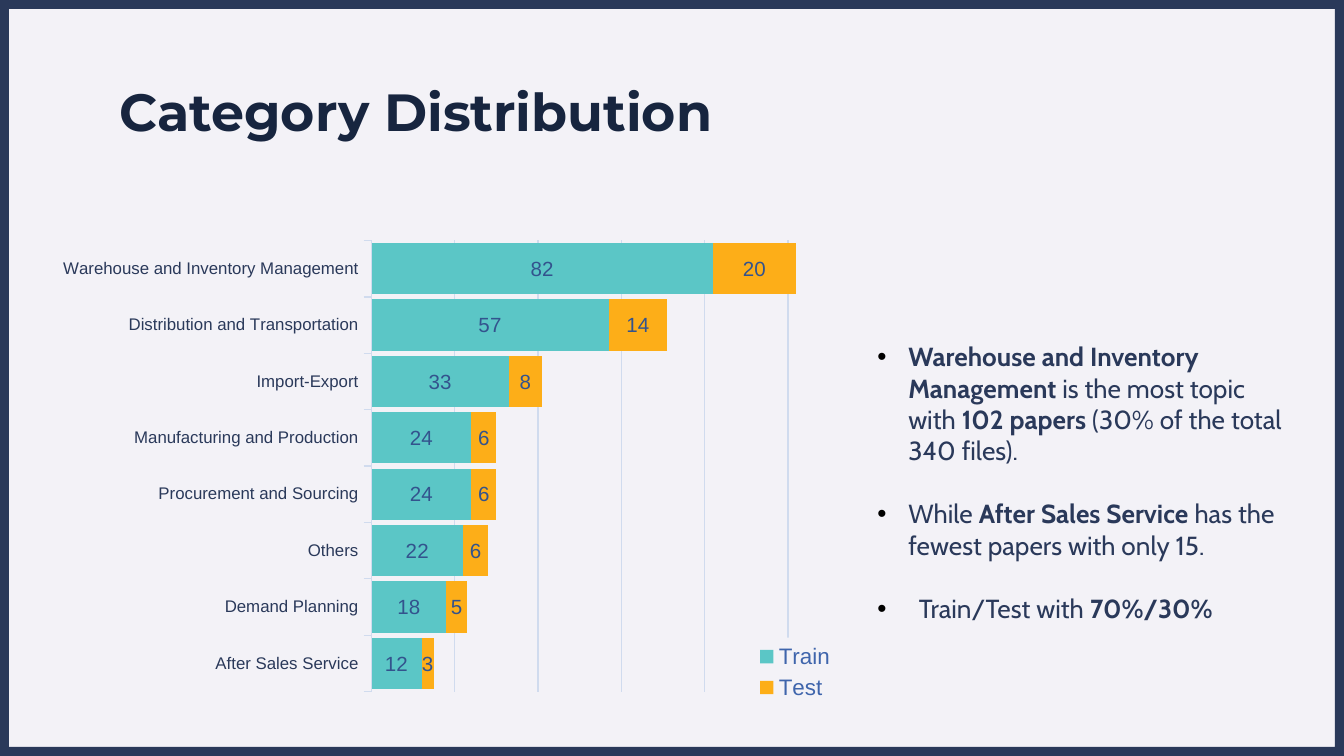
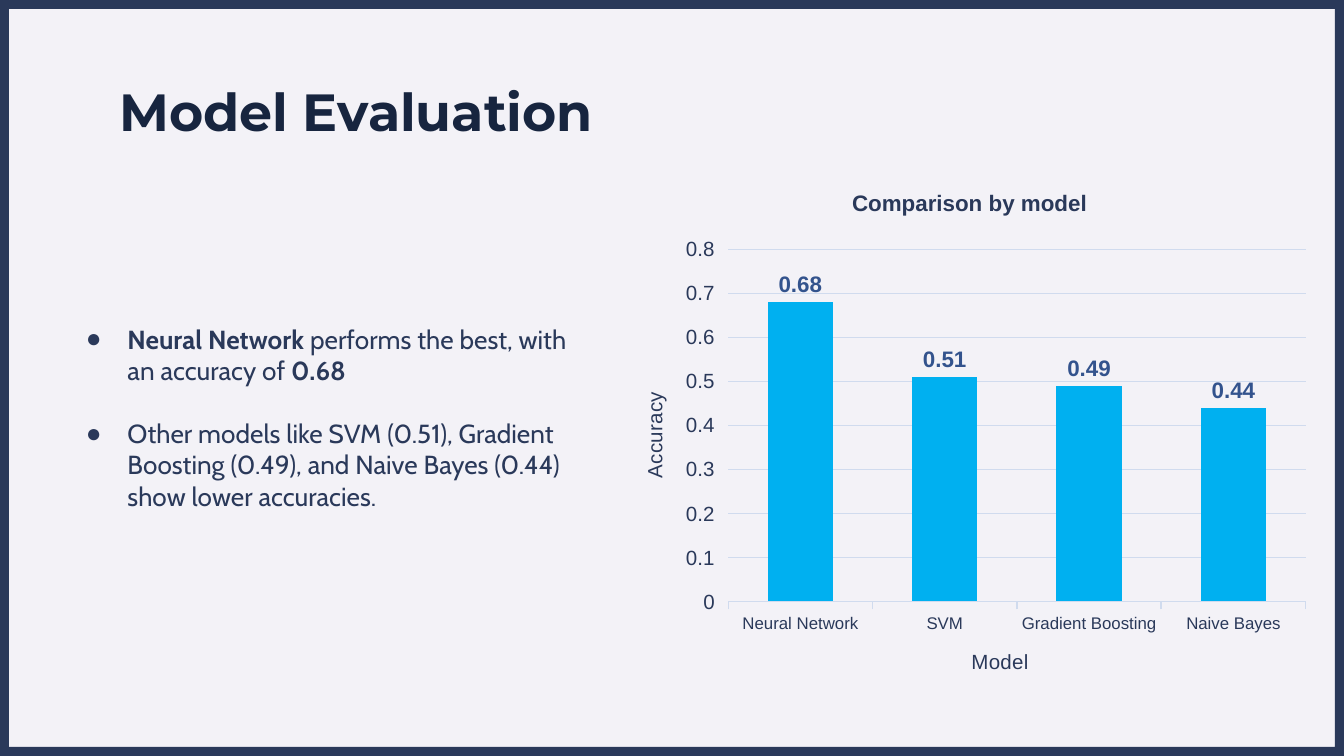
import pptx
import pptx.chart.data
import pptx.dml.color
import pptx.enum.chart
import pptx.enum.shapes
import pptx.enum.text
import pptx.oxml
import pptx.oxml.ns
import pptx.util
from lxml import etree

Inches = pptx.util.Inches
Pt = pptx.util.Pt
ChartType = pptx.enum.chart.XL_CHART_TYPE
LabelPosition = pptx.enum.chart.XL_LABEL_POSITION
Anchor = pptx.enum.text.MSO_ANCHOR
qn = pptx.oxml.ns.qn

PAPER = "F3F2F7"
NAVY = "2A395A"
DARK = "17253F"
PALE = "D0DBEE"
LABEL = "33538D"


def colour(hex_string):
    return pptx.dml.color.RGBColor.from_string(hex_string)


def set_layout(element, **fractions):
    """Place a chart part by fractions of the chart area."""
    for old_layout in element.findall(qn("c:layout")):
        element.remove(old_layout)
    layout = etree.Element(qn("c:layout"))
    manual = etree.SubElement(layout, qn("c:manualLayout"))
    if element.tag == qn("c:plotArea"):
        etree.SubElement(manual, qn("c:layoutTarget"), val="inner")
        element.insert(0, layout)
    else:
        element.find(qn("c:overlay")).addprevious(layout)
    for name in ("x", "y"):
        etree.SubElement(manual, qn(f"c:{name}Mode"), val="edge")
    for name, value in fractions.items():
        etree.SubElement(manual, qn(f"c:{name}"), val=str(value))


# Content: bold runs are marked with True
slides = [
    {
        "title": "Category Distribution",
        "chart_box": (0, 1.68, 6.43, 3.65),
        "type": ChartType.BAR_STACKED,
        "categories": [
            "After Sales Service", "Demand Planning", "Others",
            "Procurement and Sourcing", "Manufacturing and Production",
            "Import-Export", "Distribution and Transportation",
            "Warehouse and Inventory Management",
        ],
        "series": [
            ("Train", [12, 18, 22, 24, 24, 33, 57, 82], "5BC6C6"),
            ("Test", [3, 5, 6, 6, 6, 8, 14, 20], "FDAE18"),
        ],
        "label": {"size": Pt(11), "bold": False},
        "label_position": LabelPosition.CENTER,
        "plot": {"gap_width": 10, "overlap": 100},
        "value_axis": {"minimum_scale": 0, "maximum_scale": 110,
                       "major_unit": 20, "visible": False},
        "plot_layout": {"x": 0.43, "y": 0.03, "w": 0.53, "h": 0.92},
        "text_box": (6.43, 2.23, 3.3, 2.46),
        "anchor": Anchor.BOTTOM,
        "bullet": "•",
        "bullet_colour": "000000",
        "points": [
            (0.23, [("Warehouse and Inventory Management", True),
                    (" is the most topic with ", False),
                    ("102 papers ", True),
                    ("(30% of the total 340 files).", False)]),
            (0.23, [("While ", False), ("After Sales Service", True),
                    (" has the fewest papers with only 15.", False)]),
            (0.31, [("Train/Test with ", False), ("70%/30%", True)]),
        ],
    },
    {
        "title": "Model Evaluation",
        "chart_box": (4.58, 1.26, 5.24, 3.97),
        "type": ChartType.COLUMN_CLUSTERED,
        "categories": ["Neural Network", "SVM", "Gradient Boosting", "Naive Bayes"],
        "series": [("Series 1", [0.68, 0.51, 0.49, 0.44], "00B0F0")],
        "label": {"size": Pt(12), "bold": True},
        "label_position": LabelPosition.OUTSIDE_END,
        "plot": {"gap_width": 120},
        "value_axis": {"minimum_scale": 0, "maximum_scale": 0.8, "major_unit": 0.1},
        "plot_layout": {"x": 0.16, "y": 0.15, "w": 0.82, "h": 0.66},
        "text_box": (0.54, 2.35, 3.81, 1.51),
        "anchor": Anchor.MIDDLE,
        "bullet": "●",
        "bullet_colour": NAVY,
        "points": [
            (0.31, [("Neural Network", True),
                    (" performs the best, with an accuracy of ", False),
                    ("0.68", True)]),
            (0.31, [("Other models like SVM (0.51), Gradient Boosting (0.49), "
                     "and Naive Bayes (0.44) show lower accuracies.", False)]),
        ],
    },
]

# Widescreen 16:9
presentation = pptx.Presentation()
presentation.slide_width = Inches(10)
presentation.slide_height = Inches(10) * 9 // 16
fonts = []  # (font, colour, format values), applied at the end
charts = []

for content in slides:
    slide = presentation.slides.add_slide(presentation.slide_layouts[6])

    # Background and frame
    slide.background.fill.solid()
    slide.background.fill.fore_color.rgb = colour(PAPER)
    frame = slide.shapes.add_shape(
        pptx.enum.shapes.MSO_SHAPE.FRAME, 0, 0,
        presentation.slide_width, presentation.slide_height)
    frame.adjustments[0] = 0.012
    frame.shadow.inherit = False
    frame.fill.solid()
    frame.fill.fore_color.rgb = colour(NAVY)
    frame.line.fill.background()

    # Title
    title = slide.shapes.add_textbox(Inches(0.79), Inches(0.49), Inches(8.43), Inches(0.63))
    title_frame = title.text_frame
    title_frame.word_wrap = True
    for side in ("left", "top", "right", "bottom"):
        setattr(title_frame, f"margin_{side}", Inches(0.1))
    run = title_frame.paragraphs[0].add_run()
    run.text = content["title"]
    fonts.append((run.font, DARK, {"name": "Montserrat", "size": Pt(28), "bold": True}))

    # Chart
    chart_data = pptx.chart.data.CategoryChartData()
    chart_data.categories = content["categories"]
    for name, values, _ in content["series"]:
        chart_data.add_series(name, values)
    chart = slide.shapes.add_chart(
        content["type"], *map(Inches, content["chart_box"]), chart_data).chart
    charts.append(chart)
    chart.has_title = False
    chart.has_legend = False
    fonts.append((chart.font, DARK, {"name": "Arial", "size": Pt(10)}))
    plot = chart.plots[0]
    plot.vary_by_categories = False
    for name, value in content["plot"].items():
        setattr(plot, name, value)
    for series, (_, _, fill) in zip(plot.series, content["series"]):
        series.format.fill.solid()
        series.format.fill.fore_color.rgb = colour(fill)
        labels = series.data_labels
        labels.show_value = True
        labels.position = content["label_position"]
        fonts.append((labels.font, LABEL, {"name": "Arial", **content["label"]}))

    # Axes
    for axis, size in ((chart.category_axis, 9), (chart.value_axis, 11)):
        axis.major_tick_mark = pptx.enum.chart.XL_TICK_MARK.OUTSIDE
        axis.minor_tick_mark = pptx.enum.chart.XL_TICK_MARK.NONE
        fonts.append((axis.tick_labels.font, NAVY, {"name": "Arial", "size": Pt(size)}))
    for name, value in content["value_axis"].items():
        setattr(chart.value_axis, name, value)
    chart.value_axis.format.line.fill.background()
    for part in (chart.category_axis, chart.value_axis.major_gridlines):
        part.format.line.color.rgb = colour(PALE)
        part.format.line.width = Pt(0.75)
    set_layout(chart.element.xpath("c:chart/c:plotArea")[0], **content["plot_layout"])

    # Bulleted text
    text_box = slide.shapes.add_textbox(*map(Inches, content["text_box"]))
    text_frame = text_box.text_frame
    text_frame.word_wrap = True
    text_frame.vertical_anchor = content["anchor"]
    for index, (indent, runs) in enumerate(content["points"]):
        paragraph = text_frame.paragraphs[0] if index == 0 else text_frame.add_paragraph()
        if index:
            paragraph.space_before = Pt(17)
        properties = paragraph._p.get_or_add_pPr()
        properties.set("marL", str(Inches(indent)))
        properties.set("indent", str(-Inches(indent)))
        bullet_colour = etree.SubElement(properties, qn("a:buClr"))
        etree.SubElement(bullet_colour, qn("a:srgbClr"), val=content["bullet_colour"])
        etree.SubElement(properties, qn("a:buFont"), typeface="Arial")
        etree.SubElement(properties, qn("a:buChar"), char=content["bullet"])
        for text, bold in runs:
            run = paragraph.add_run()
            run.text = text
            fonts.append((run.font, NAVY, {"name": "Cabin", "size": Pt(14), "bold": bold}))

category_chart, model_chart = charts

# Legend over the lower right of the category chart
category_chart.has_legend = True
legend = category_chart.legend
legend.position = pptx.enum.chart.XL_LEGEND_POSITION.RIGHT
legend.include_in_layout = False
fonts.append((legend.font, "3F65AC", {"name": "Arial", "size": Pt(12)}))
legend_element = category_chart.element.xpath("c:chart/c:legend")[0]
set_layout(legend_element, x=0.86, y=0.84, w=0.12, h=0.14)
legend_fill = pptx.oxml.parse_xml(
    f'<c:spPr {pptx.oxml.ns.nsdecls("c", "a")}><a:solidFill>'
    f'<a:srgbClr val="{PAPER}"/></a:solidFill></c:spPr>')
legend_element.find(qn("c:overlay")).addnext(legend_fill)

# Titles of the model chart and its axes
for owner, text, size, bold, left, top in (
    (model_chart, "Comparison by model", 12, True, 0.33, 0.03),
    (model_chart.category_axis, "Model", 11, False, 0.5, 0.89),
    (model_chart.value_axis, "Accuracy", 11, False, 0.03, 0.41),
):
    owner.has_title = True
    heading = owner.chart_title if owner is model_chart else owner.axis_title
    run = heading.text_frame.paragraphs[0].add_run()
    run.text = text
    fonts.append((run.font, NAVY, {"name": "Arial", "size": Pt(size), "bold": bold}))
    set_layout(heading.element, x=left, y=top)
    if text == "Accuracy":
        heading.text_frame._txBody.bodyPr.set("rot", "-5400000")
        heading.text_frame._txBody.bodyPr.set("vert", "horz")

# Fonts
for font, font_colour, values in fonts:
    for name, value in values.items():
        setattr(font, name, value)
    font.color.rgb = colour(font_colour)

presentation.save("out.pptx")
